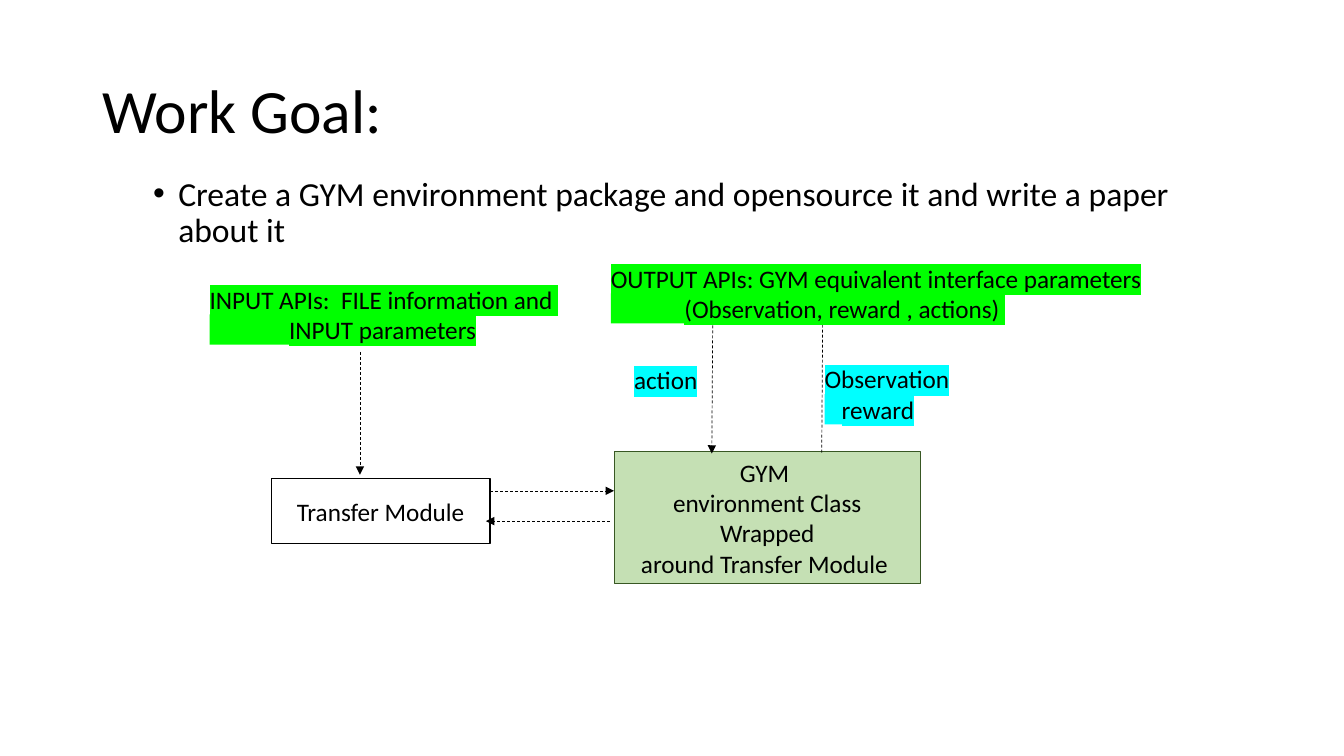
from lxml.etree import SubElement
from pptx import Presentation
from pptx.dml.color import RGBColor
from pptx.enum.dml import MSO_LINE
from pptx.enum.shapes import MSO_CONNECTOR, MSO_SHAPE
from pptx.enum.text import MSO_ANCHOR, MSO_AUTO_SIZE, PP_ALIGN
from pptx.oxml.ns import qn
from pptx.util import Inches, Pt

FONT = "Calibri"
BLACK, WHITE = "000000", "FFFFFF"
GREEN, CYAN = "00FF00", "00FFFF"
LABEL_SIZE = 18
LINE_HEIGHT = 0.3
INSET_X, INSET_Y = 0.1, 0.05

TITLE = "Work Goal:"
GOAL = "Create a GYM environment package and opensource it and write a paper about it"

# left, top, width, height, fill, line, line width, text
MODULES = [
    (2.69, 4.75, 2.17, 0.64, WHITE, BLACK, 1, "Transfer Module"),
    (6.09, 4.48, 3.04, 1.31, "C5E0B4", "385723", 0.5,
     "GYM \nenvironment Class\nWrapped\naround Transfer Module "),
]
# start x, start y, end x, end y
ARROWS = [
    (4.86, 4.87, 6.09, 4.87),
    (6.05, 5.17, 4.82, 5.17),
    (7.07, 3.08, 7.06, 4.5),
    (8.15, 4.49, 8.16, 3.07),
    (3.57, 3.49, 3.57, 4.71),
]
# left, top, width, height, highlight, indent of second line, text
LABELS = [
    (6.19, 3.57, 0.84, 0.4, CYAN, 0, "action"),
    (8.08, 3.56, 1.45, 0.71, CYAN, 0.17, "Observation\nreward"),
    (1.98, 2.77, 3.7, 0.71, GREEN, 0.79,
     "INPUT APIs:  FILE information and \nINPUT parameters"),
    (5.96, 2.56, 5.52, 0.71, GREEN, 0.73,
     "OUTPUT APIs: GYM equivalent interface parameters\n(Observation, reward , actions) "),
]


def color(value):
    return RGBColor.from_string(value)


def write(box, text, size, align=PP_ALIGN.LEFT, highlight=None):
    frame = box.text_frame
    frame.text = text
    for para in frame.paragraphs:
        para.alignment = align
        for span in para.runs:
            span.font.size = Pt(size)
            span.font.color.rgb = color(BLACK)
            span.font.name = FONT
            if highlight:
                properties = span.font._element
                mark = SubElement(properties, qn("a:highlight"))
                SubElement(mark, qn("a:srgbClr"), val=highlight)
                properties.find(qn("a:solidFill")).addnext(mark)
    return frame


def add_text(left, top, width, height, text, size, wrap=True, highlight=None):
    box = slide.shapes.add_textbox(Inches(left), Inches(top), Inches(width), Inches(height))
    frame = write(box, text, size, highlight=highlight)
    frame.word_wrap = wrap
    return frame


def add_rectangle(left, top, width, height, fill):
    box = slide.shapes.add_shape(
        MSO_SHAPE.RECTANGLE, Inches(left), Inches(top), Inches(width), Inches(height))
    box.shadow.inherit = False
    box.fill.solid()
    box.fill.fore_color.rgb = color(fill)
    box.line.fill.background()
    return box


def add_arrow(*ends):
    arrow = slide.shapes.add_connector(MSO_CONNECTOR.STRAIGHT, *map(Inches, ends))
    arrow.line.color.rgb = color(BLACK)
    arrow.line.width = Pt(0.5)
    arrow.line.dash_style = MSO_LINE.DASH
    SubElement(arrow.line._get_or_add_ln(), qn("a:tailEnd"), type="triangle")
    SubElement(arrow._element.spPr, qn("a:effectLst"))


deck = Presentation()
deck.slide_width, deck.slide_height = Inches(13.33), Inches(7.5)
slide = deck.slides.add_slide(deck.slide_layouts[6])

title = add_text(0.92, 0.4, 11.5, 1.45, TITLE, 44)
title.vertical_anchor = MSO_ANCHOR.MIDDLE
title.paragraphs[0].line_spacing = 0.9

goal = add_text(0.92, 1.71, 11.5, 4.76, GOAL, 24).paragraphs[0]
goal.line_spacing = 0.9
goal.space_before = Pt(5)
goal_format = goal._p.get_or_add_pPr()
goal_format.set("marL", str(Inches(0.75)))
goal_format.set("indent", str(Inches(-0.25)))
SubElement(goal_format, qn("a:buFont"), typeface="Arial")
SubElement(goal_format, qn("a:buChar"), char="•")

for left, top, width, height, fill, line, line_width, text in MODULES:
    module = add_rectangle(left, top, width, height, fill)
    module.line.color.rgb = color(line)
    module.line.width = Pt(line_width)
    write(module, text, LABEL_SIZE, PP_ALIGN.CENTER).vertical_anchor = MSO_ANCHOR.MIDDLE

for ends in ARROWS:
    add_arrow(*ends)

for left, top, width, height, highlight, indent, text in LABELS:
    if indent:
        # The highlight colour also fills the indent of the second line.
        add_rectangle(left + INSET_X, top + INSET_Y + LINE_HEIGHT, indent, LINE_HEIGHT, highlight)
    label = add_text(left, top, width, height, text, LABEL_SIZE, False, highlight)
    label.auto_size = MSO_AUTO_SIZE.SHAPE_TO_FIT_TEXT
    for para in label.paragraphs[1:]:
        para._p.get_or_add_pPr().set("marL", str(Inches(indent)))

deck.save("out.pptx")
